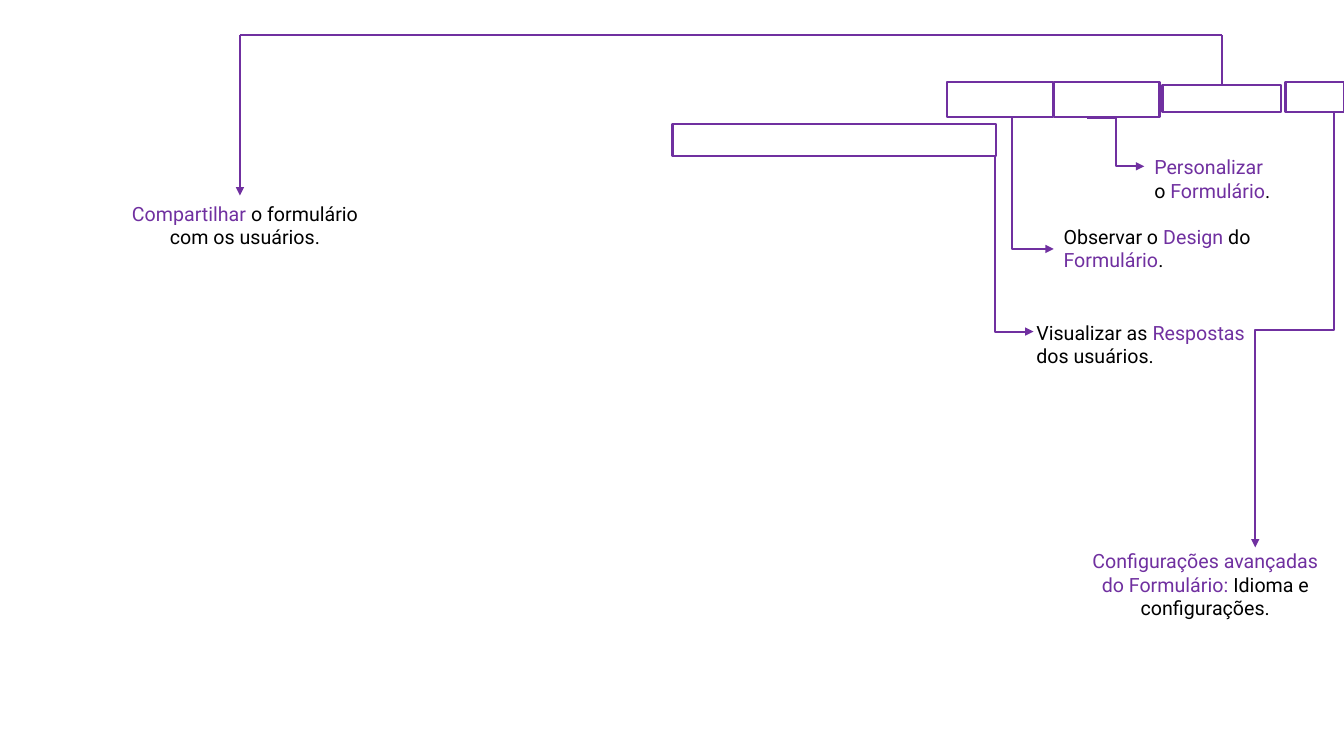
from dataclasses import dataclass
from lxml.etree import SubElement
from pptx import Presentation
from pptx.dml.color import RGBColor
from pptx.enum.shapes import MSO_CONNECTOR, MSO_SHAPE
from pptx.enum.text import MSO_AUTO_SIZE, PP_ALIGN
from pptx.oxml.ns import qn
from pptx.util import Inches, Pt


@dataclass(frozen=True)
class Theme:
    purple: RGBColor = RGBColor(0x70, 0x30, 0xA0)
    black: RGBColor = RGBColor(0, 0, 0)
    font: str = "Roboto"
    size: Pt = Pt(14)
    line: Pt = Pt(1.5)


THEME = Theme()


def frame(page, left, top, width, height):
    box = page.shapes.add_shape(
        MSO_SHAPE.RECTANGLE, *map(Inches, (left, top, width, height)))
    box.shadow.inherit = False
    box.fill.background()
    box.line.color.rgb = THEME.purple
    box.line.width = THEME.line
    return box


def label(page, box, text, align=PP_ALIGN.LEFT, wrap=False):
    body = page.shapes.add_textbox(*map(Inches, box)).text_frame
    body.word_wrap = wrap
    body.auto_size = MSO_AUTO_SIZE.SHAPE_TO_FIT_TEXT
    for row, words in enumerate(text.split("\n")):
        para = body.paragraphs[0] if row == 0 else body.add_paragraph()
        para.alignment = align
        for turn, part in enumerate(words.split("*")):
            if part:
                run = para.add_run()
                run.text = part
                run.font.name = THEME.font
                run.font.size = THEME.size
                run.font.color.rgb = THEME.purple if turn % 2 else THEME.black


def link(page, start, end, kind=MSO_CONNECTOR.STRAIGHT, arrow=True):
    wire = page.shapes.add_connector(kind, *map(Inches, (*start, *end)))
    wire.line.color.rgb = THEME.purple
    wire.line.width = THEME.line
    if arrow:
        SubElement(wire.line._get_or_add_ln(), qn("a:tailEnd"), type="triangle")
    SubElement(wire._element.spPr, qn("a:effectLst"))
    return wire


def drop(page, start, end):
    (x1, y1), (x2, y2) = start, end
    midx, midy = (x1 + x2) / 2, (y1 + y2) / 2
    halfw, halfh = abs(y2 - y1) / 2, abs(x2 - x1) / 2
    wire = link(page, (midx - halfw, midy - halfh),
                (midx + halfw, midy + halfh), MSO_CONNECTOR.ELBOW)
    form = wire._element.spPr.find(qn("a:xfrm"))
    if x2 > x1:
        form.set("rot", "16200000")
        form.set("flipH", "1")
        wire._element.spPr.find(qn("a:prstGeom")).set("prst", "bentConnector2")
    else:
        form.set("rot", "5400000")


def answers(page, left, top):
    frame(page, left, top, 3.21, 0.32)
    drop(page, (left + 3.2, top + 0.33), (left + 3.58, top + 2.06))
    label(page, (left + 3.51, top + 1.9, 2.34, 0.57),
          "Visualizar as *Respostas*\ndos usuários.")


def design(page, left, top):
    frame(page, left, top, 1.05, 0.35)
    drop(page, (left + 0.65, top + 0.36), (left + 1.06, top + 1.66))
    label(page, (left + 1.06, top + 1.37, 2.12, 0.57),
          "Observar o *Design *do\n*Formulário*.", wrap=True)


def custom(page, left, top):
    frame(page, left, top, 1.05, 0.35)
    link(page, (left + 0.33, top + 0.36), (left + 0.9, top + 0.84),
         MSO_CONNECTOR.ELBOW)
    label(page, (left + 0.9, top + 0.68, 1.37, 0.57),
          "*Personalizar*\no *Formulário*.")


def setup(page, left, top):
    frame(page, left, top, 0.58, 0.3)
    drop(page, (left + 0.48, top + 0.31), (left - 0.3, top + 4.62))
    label(page, (left - 2.07, top + 4.59, 2.55, 1.04),
          "*Configurações avançadas*\n*do Formulário: *Idioma e\nconfigurações.",
          align=PP_ALIGN.CENTER, wrap=True)


def share(page, left, top):
    box = frame(page, left, top, 1.18, 0.27)
    mid, high, far = left + 0.59, top - 0.49, left - 9.15
    link(page, (far, high), (far, top + 1.1))
    link(page, (far, high), (mid, high), arrow=False)
    stem = link(page, (mid, top), (mid, high), arrow=False)
    stem.begin_connect(box, 0)
    label(page, (left - 10.34, top + 1.11, 2.48, 0.57),
          "*Compartilhar* o formulário\ncom os usuários.",
          align=PP_ALIGN.CENTER)


def main():
    deck = Presentation()
    deck.slide_width, deck.slide_height = Inches(13.33), Inches(7.5)
    page = deck.slides.add_slide(deck.slide_layouts[6])
    answers(page, 6.67, 1.23)
    design(page, 9.39, 0.81)
    custom(page, 10.45, 0.81)
    setup(page, 12.75, 0.81)
    share(page, 11.53, 0.84)
    deck.save("out.pptx")


if __name__ == "__main__":
    main()
